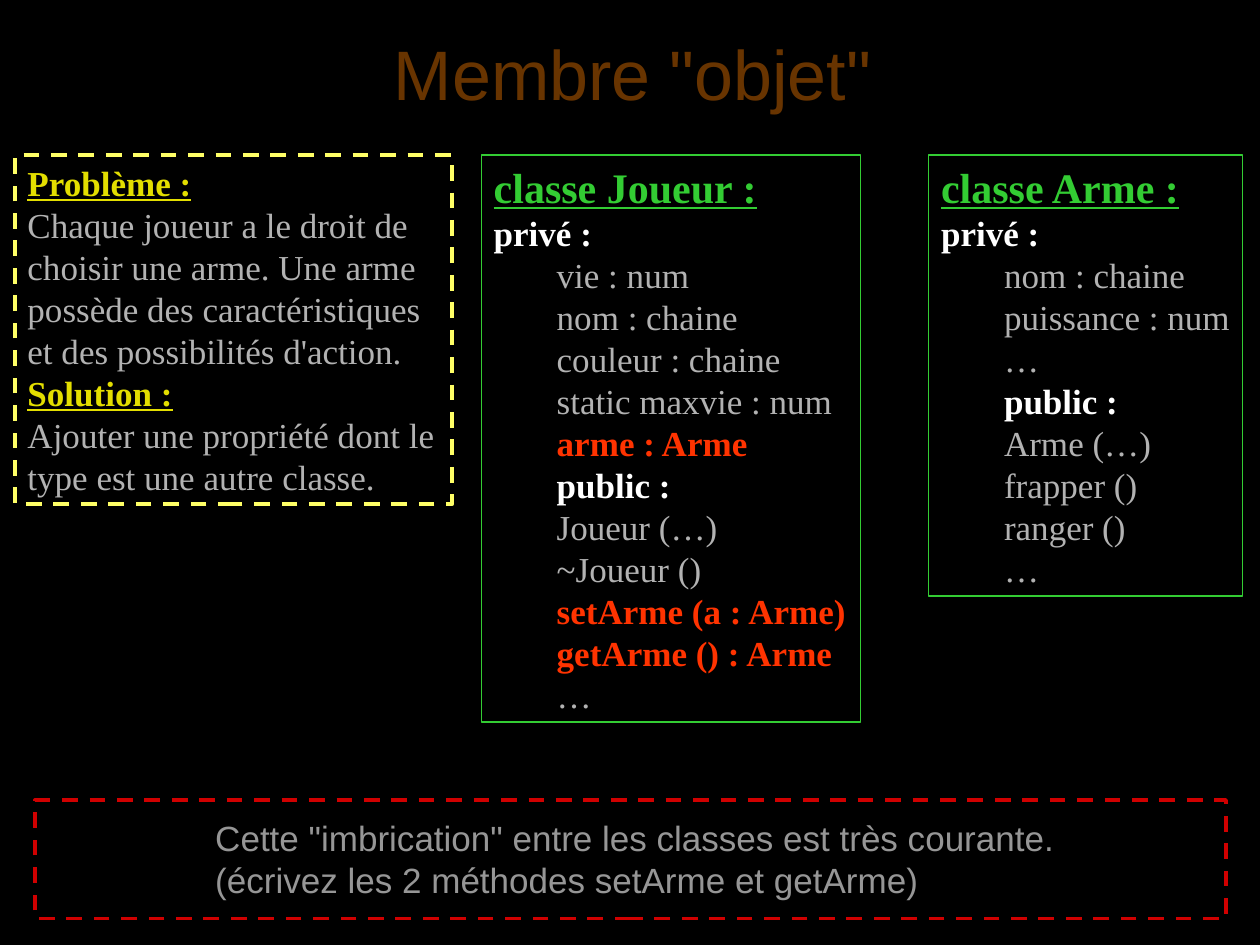
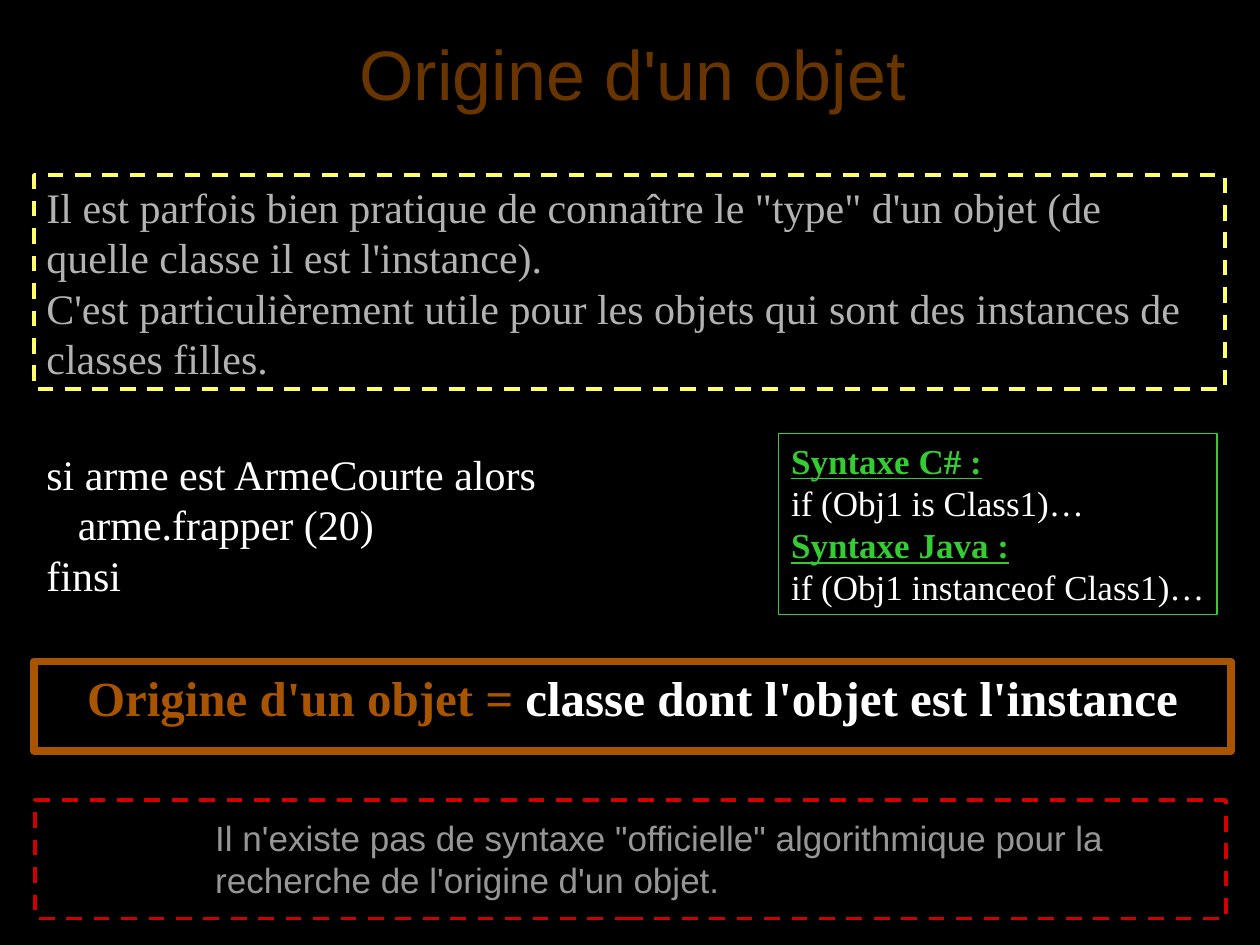
from dataclasses import dataclass

from lxml import etree
from pptx import Presentation
from pptx.dml.color import RGBColor
from pptx.enum.dml import MSO_LINE
from pptx.enum.shapes import MSO_SHAPE
from pptx.enum.text import MSO_ANCHOR, PP_ALIGN
from pptx.oxml.ns import qn
from pptx.util import Inches, Pt


@dataclass(frozen=True)
class Theme:
    background: str = "000000"
    title: str = "683400"
    origin: str = "A85400"
    label: str = "E3DE00"
    frame: str = "FFFF66"
    code: str = "33CC33"
    key: str = "FFFFFF"
    body: str = "B2B2B2"
    accent: str = "FF3300"
    note: str = "969696"
    warning: str = "D00000"
    sans: str = "Arial"
    serif: str = "Times New Roman"
    title_size: int = 40
    banner_size: int = 28
    large_size: int = 24
    text_size: int = 20
    line_height: float = 1.2


THEME = Theme()

# Paragraph styles, referred to by name in the content
STYLES = {
    "label": dict(color=THEME.label, bold=True, underline=True),
    "class": dict(color=THEME.code, bold=True, underline=True, size=THEME.large_size),
    "syntax": dict(color=THEME.code, bold=True, underline=True),
    "access": dict(color=THEME.key, bold=True),
    "public": dict(color=THEME.key, bold=True, indent=0.5),
    "member": dict(color=THEME.body, indent=0.5),
    "new": dict(color=THEME.accent, bold=True, indent=0.5),
    "body": dict(color=THEME.body),
    "large": dict(color=THEME.body, size=THEME.large_size),
    "code": dict(color=THEME.key),
    "pseudocode": dict(color=THEME.key, size=THEME.large_size),
    "note": dict(color=THEME.note, font=THEME.sans),
}

# Frames: line colour, width in points, dashed
FRAMES = {
    "explanation": (THEME.frame, 2.25, True),
    "code": (THEME.code, 0.75, False),
    "banner": (THEME.origin, 4.5, False),
    "warning": (THEME.warning, 2.25, True),
    "none": None,
}

# Each block: position (left, top, width, height), frame, wrap, paragraphs
SLIDES = [
    {
        "title": 'Membre "objet"',
        "blocks": [
            ((0.12, 1.23, 3.47, 2.77), "explanation", True, [
                ("label", "Problème :"),
                ("body", "Chaque joueur a le droit de choisir une arme. Une arme "
                         "possède des caractéristiques et des possibilités d'action."),
                ("label", "Solution :"),
                ("body", "Ajouter une propriété dont le type est une autre classe."),
            ]),
            ((3.82, 1.23, 3.01, 4.5), "code", False, [
                ("class", "classe Joueur :"),
                ("access", "privé :"),
                ("member", "vie : num"),
                ("member", "nom : chaine"),
                ("member", "couleur : chaine"),
                ("member", "static maxvie : num"),
                ("new", "arme : Arme"),
                ("public", "public :"),
                ("member", "Joueur (…)"),
                ("member", "~Joueur ()"),
                ("new", "setArme (a : Arme)"),
                ("new", "getArme () : Arme"),
                ("member", "…"),
            ]),
            ((7.37, 1.23, 2.49, 3.5), "code", False, [
                ("class", "classe Arme :"),
                ("access", "privé :"),
                ("member", "nom : chaine"),
                ("member", "puissance : num"),
                ("member", "…"),
                ("public", "public :"),
                ("member", "Arme (…)"),
                ("member", "frapper ()"),
                ("member", "ranger ()"),
                ("member", "…"),
            ]),
        ],
        "note": ['Cette "imbrication" entre les classes est très courante.',
                 "(écrivez les 2 méthodes setArme et getArme)"],
    },
    {
        "title": "Origine d'un objet",
        "blocks": [
            ((0.27, 1.39, 9.45, 1.7), "explanation", True, [
                ("large", "Il est parfois bien pratique de connaître le \"type\" d'un "
                          "objet (de quelle classe il est l'instance)."),
                ("large", "C'est particulièrement utile pour les objets qui sont des "
                          "instances de classes filles."),
            ]),
            ((6.18, 3.44, 3.48, 1.44), "code", False, [
                ("syntax", "Syntaxe C# :"),
                ("code", "if (Obj1 is Class1)…"),
                ("syntax", "Syntaxe Java :"),
                ("code", "if (Obj1 instanceof Class1)…"),
            ]),
            ((0.27, 3.51, 4.1, 1.3), "none", False, [
                ("pseudocode", "si arme est ArmeCourte alors"),
                ("pseudocode", "   arme.frapper (20)"),
                ("pseudocode", "finsi"),
            ]),
        ],
        "banner": ("Origine d'un objet = ", "classe dont l'objet est l'instance"),
        "note": ["Il n'existe pas de syntaxe \"officielle\" algorithmique pour la "
                 "recherche de l'origine d'un objet."],
    },
]

TITLE_AREA = (0.27, 0.13, 9.5, 0.89)
BANNER_AREA = (0.27, 5.25, 9.5, 0.71)
WARNING_AREA = (0.28, 6.35, 9.45, 0.94)
NOTE_AREA = (1.61, 6.43, 7.95, 0.77)


def write(paragraph, text, *, color, size=THEME.text_size, font=THEME.serif,
          bold=False, underline=False, indent=0, align=PP_ALIGN.LEFT):
    """Append a formatted run to the paragraph and return it."""
    paragraph.alignment = align
    paragraph.line_spacing = Pt(size * THEME.line_height)
    if indent:
        properties = paragraph._p.get_or_add_pPr()
        properties.set("marL", str(Inches(indent)))
        properties.set("indent", "0")
    run = paragraph.add_run()
    run.text = text
    run.font.size = Pt(size)
    run.font.bold = bold
    run.font.underline = underline
    run.font.color.rgb = RGBColor.from_string(color)
    run.font.name = font
    return run


def add_box(slide, area, frame="none", wrap=True):
    place = [Inches(length) for length in area]
    if FRAMES[frame] is None:
        box = slide.shapes.add_textbox(*place)
    else:
        color, width, dashed = FRAMES[frame]
        box = slide.shapes.add_shape(MSO_SHAPE.RECTANGLE, *place)
        box.shadow.inherit = False
        box.fill.background()
        box.line.color.rgb = RGBColor.from_string(color)
        box.line.width = Pt(width)
        if dashed:
            box.line.dash_style = MSO_LINE.DASH
    box.text_frame.word_wrap = wrap
    box.text_frame.vertical_anchor = MSO_ANCHOR.TOP
    return box


def add_block(slide, area, frame, wrap, paragraphs):
    text_frame = add_box(slide, area, frame, wrap).text_frame
    for index, (style, text) in enumerate(paragraphs):
        paragraph = text_frame.add_paragraph() if index else text_frame.paragraphs[0]
        write(paragraph, text, **STYLES[style])


def add_text_shadow(run):
    effects = etree.Element(qn("a:effectLst"))
    shadow = etree.SubElement(effects, qn("a:outerShdw"), dist="17961", dir="2700000")
    etree.SubElement(shadow, qn("a:srgbClr"), val="3E1F00")
    run.font._element.find(qn("a:solidFill")).addnext(effects)


def set_title(slide, text):
    title = slide.shapes.title
    title.left, title.top, title.width, title.height = map(Inches, TITLE_AREA)
    title.text_frame.vertical_anchor = MSO_ANCHOR.MIDDLE
    run = write(title.text_frame.paragraphs[0], text, color=THEME.title,
                size=THEME.title_size, font=THEME.sans, align=PP_ALIGN.CENTER)
    add_text_shadow(run)


def add_banner(slide, term, definition):
    paragraph = add_box(slide, BANNER_AREA, "banner").text_frame.paragraphs[0]
    for text, color in ((term, THEME.origin), (definition, THEME.key)):
        write(paragraph, text, color=color, size=THEME.banner_size, bold=True,
              align=PP_ALIGN.CENTER)


def main():
    prs = Presentation()
    prs.slide_width, prs.slide_height = Inches(10), Inches(7.5)
    background = prs.slide_master.background.fill
    background.solid()
    background.fore_color.rgb = RGBColor.from_string(THEME.background)
    title_only = prs.slide_layouts[5]

    for content in SLIDES:
        slide = prs.slides.add_slide(title_only)
        set_title(slide, content["title"])
        for block in content["blocks"]:
            add_block(slide, *block)
        if "banner" in content:
            add_banner(slide, *content["banner"])
        add_box(slide, WARNING_AREA, "warning")
        add_block(slide, NOTE_AREA, "none", True,
                  [("note", line) for line in content["note"]])

    prs.save("out.pptx")


if __name__ == "__main__":
    main()
